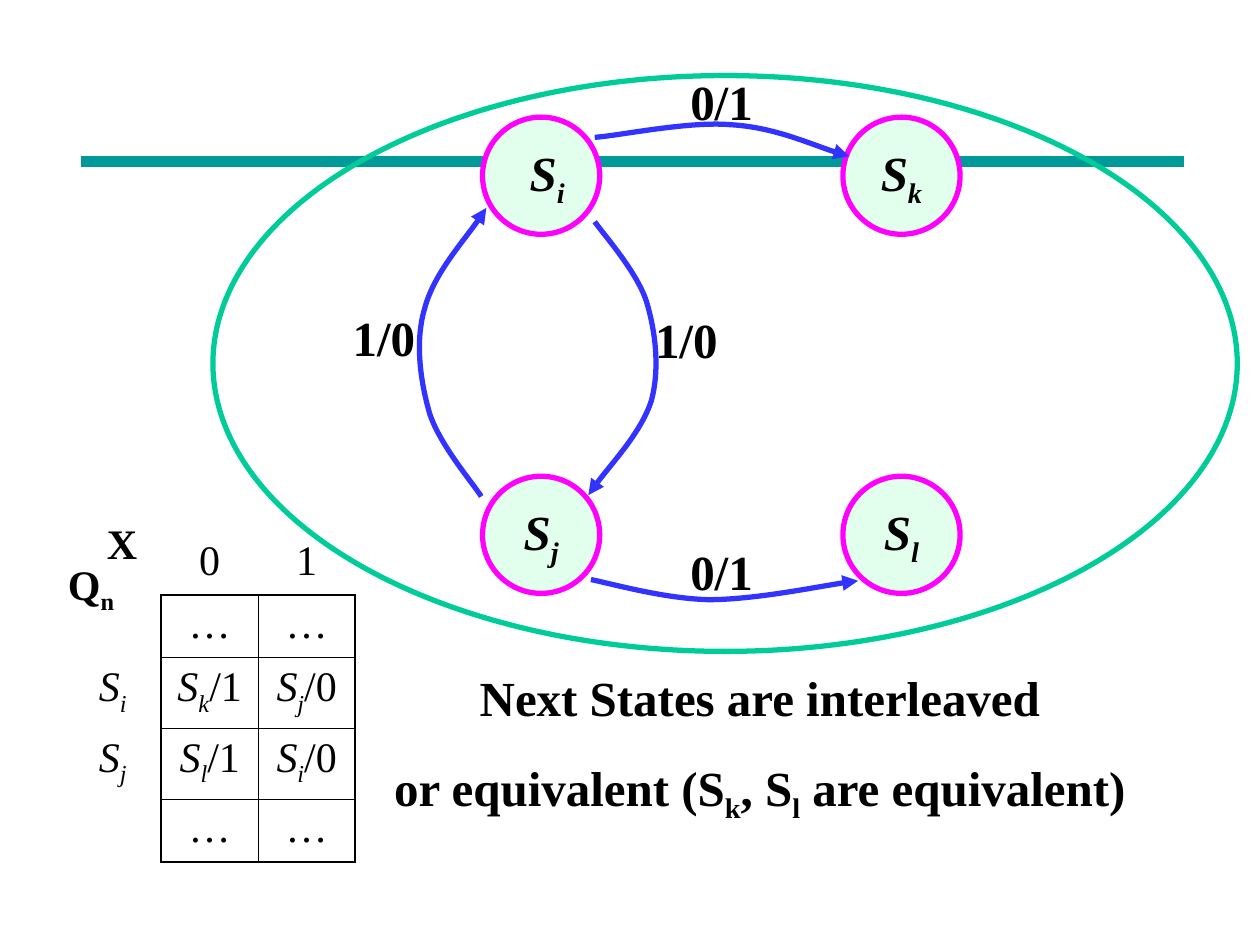
from lxml import etree
from pptx import Presentation
from pptx.dml.color import RGBColor
from pptx.enum.shapes import MSO_CONNECTOR, MSO_SHAPE
from pptx.enum.text import MSO_ANCHOR, PP_ALIGN
from pptx.oxml import parse_xml
from pptx.oxml.ns import nsdecls, qn
from pptx.util import Inches, Pt

OVAL = MSO_SHAPE.OVAL
STRAIGHT = MSO_CONNECTOR.STRAIGHT
MIDDLE = MSO_ANCHOR.MIDDLE
LEFT, CENTER = PP_ALIGN.LEFT, PP_ALIGN.CENTER
BLACK = RGBColor(0x00, 0x00, 0x00)
TEAL = RGBColor(0x00, 0x99, 0x99)
GREEN = RGBColor(0x00, 0xCC, 0x99)
MINT = RGBColor(0xE2, 0xFE, 0xED)
MAGENTA = RGBColor(0xFF, 0x00, 0xFF)
BLUE = RGBColor(0x33, 0x33, 0xFF)
FONT = "Times New Roman"


def write(p, text, size, align=LEFT, bold=False, italic_parts=0):
    p.alignment = align
    for i, part in enumerate(text.split("_")):
        r = p.add_run()
        r.text = part
        r.font.name = FONT
        r.font.size = Pt(size)
        r.font.color.rgb = BLACK
        r.font.bold = bold
        r.font.italic = i < italic_parts
        if i % 2:
            r._r.get_or_add_rPr().set("baseline", "-25000")


def add_text(x, y, w, h, lines, size, align=LEFT):
    tf = s.shapes.add_textbox(Inches(x), Inches(y), Inches(w), Inches(h)).text_frame
    tf.word_wrap = True
    tf.margin_left = 0 if align == CENTER else Inches(0.1)
    tf.margin_right = 0
    for i, line in enumerate(lines):
        p = tf.add_paragraph() if i else tf.paragraphs[0]
        if i:
            p.space_before = Pt(17.5)
        write(p, line, size, align, bold=True)


prs = Presentation()
prs.slide_width, prs.slide_height = Inches(10), Inches(7.5)
s = prs.slides.add_slide(prs.slide_layouts[6])

rule = s.shapes.add_connector(STRAIGHT, Inches(0.64), Inches(1.28), Inches(9.4), Inches(1.28))
rule.line.color.rgb = TEAL
rule.line.width = Pt(6)
etree.SubElement(rule._element.spPr, qn("a:effectLst"))

add_text(3.02, 5.25, 6.02, 1.34,
         ["Next States are interleaved", "or equivalent (S_k_, S_l_ are equivalent)"], 28, CENTER)

states = [(3.83, 0.93, " S_i"), (3.83, 3.78, "S_j"), (6.69, 3.78, "S_l"), (6.69, 0.93, "S_k")]
for x, y, name in states:
    sp = s.shapes.add_shape(OVAL, Inches(x), Inches(y), Inches(0.93), Inches(0.93))
    sp.shadow.inherit = False
    sp.fill.solid()
    sp.fill.fore_color.rgb = MINT
    sp.line.color.rgb = MAGENTA
    sp.line.width = Pt(3)
    tf = sp.text_frame
    tf.word_wrap = False
    tf.vertical_anchor = MIDDLE
    write(tf.paragraphs[0], name, 28, CENTER, bold=True, italic_parts=2)

transitions = [
    [(4.72, 1.76), (4.79, 1.86), (5.05, 2.15), (5.13, 2.39), (5.2, 2.62),
     (5.24, 2.92), (5.17, 3.18), (5.09, 3.43), (4.77, 3.77), (4.67, 3.93)],
    [(3.82, 3.94), (3.75, 3.83), (3.49, 3.53), (3.41, 3.28), (3.34, 3.04),
     (3.29, 2.72), (3.37, 2.45), (3.44, 2.18), (3.76, 1.82), (3.86, 1.65)],
    [(4.72, 1.09), (4.9, 1.08), (5.46, 0.96), (5.8, 0.99),
     (6.14, 1.01), (6.54, 1.19), (6.74, 1.24)],
    [(4.69, 4.6), (4.88, 4.64), (5.27, 4.75), (5.62, 4.76),
     (5.98, 4.76), (6.62, 4.63), (6.81, 4.61)],
]
for points in transitions:
    start, *controls = [(Inches(x), Inches(y)) for x, y in points]
    builder = s.shapes.build_freeform(*start)
    builder.add_line_segments(controls, close=False)
    sp = builder.convert_to_shape()
    segments = list(sp._element.iter(qn("a:lnTo")))
    for i in range(0, len(segments), 3):
        curve = etree.Element(qn("a:cubicBezTo"))
        segments[i].addprevious(curve)
        for segment in segments[i:i + 3]:
            curve.append(segment[0])
            segment.getparent().remove(segment)
    sp.shadow.inherit = False
    sp.fill.background()
    sp.line.color.rgb = BLUE
    sp.line.width = Pt(3)
    etree.SubElement(sp.line._get_or_add_ln(), qn("a:tailEnd"), type="triangle")

for x, y, label in [(5.1, 2.41, "1/0"), (2.7, 2.39, "1/0"), (5.38, 0.52, "0/1"), (5.38, 4.25, "0/1")]:
    add_text(x, y, 0.69, 0.57, [label], 28)

sp = s.shapes.add_shape(OVAL, Inches(1.69), Inches(0.6), Inches(8.13), Inches(4.57))
sp.shadow.inherit = False
sp.fill.background()
sp.line.color.rgb = GREEN
sp.line.width = Pt(3)

rows = [
    ("", "0", "1"),
    ("", "…", "…"),
    ("S_i", "S_k_/1", "S_j_/0"),
    ("S_j", "S_l_/1", "S_i_/0"),
    ("", "…", "…"),
]
table = s.shapes.add_table(5, 3, Inches(0.51), Inches(4.22), Inches(2.3), Inches(2.62)).table
table.first_row = table.horz_banding = False
for column in table.columns:
    column.width = Inches(0.77)
for row, height in zip(table.rows, (0.5, 0.5, 0.56, 0.56, 0.5)):
    row.height = Inches(height)

row_edges = [0, 1.08, 0.45, 0.45, 0.45, 1.08]
column_edges = [0, 1.08, 0.45, 1.08]
for i, values in enumerate(rows):
    for j, text in enumerate(values):
        cell = table.cell(i, j)
        cell.fill.background()
        write(cell.text_frame.paragraphs[0], text, 24, CENTER, italic_parts=2 if "_" in text else 0)
        edges = {
            "L": column_edges[j] if i else 0,
            "R": column_edges[j + 1] if i else 0,
            "T": row_edges[i] if j else 0,
            "B": row_edges[i + 1] if j else 0,
        }
        for k, (side, width) in enumerate(edges.items()):
            fill = f'<a:solidFill><a:srgbClr val="{BLACK}"/></a:solidFill>' if width else "<a:noFill/>"
            ln = parse_xml(f'<a:ln{side} {nsdecls("a")} w="{Pt(width)}">{fill}</a:ln{side}>')
            cell._tc.get_or_add_tcPr().insert(k, ln)

add_text(0.44, 4.38, 0.56, 0.56, ["Q_n"], 24)
add_text(0.75, 4.06, 0.44, 0.5, ["X"], 24)

prs.save("out.pptx")
